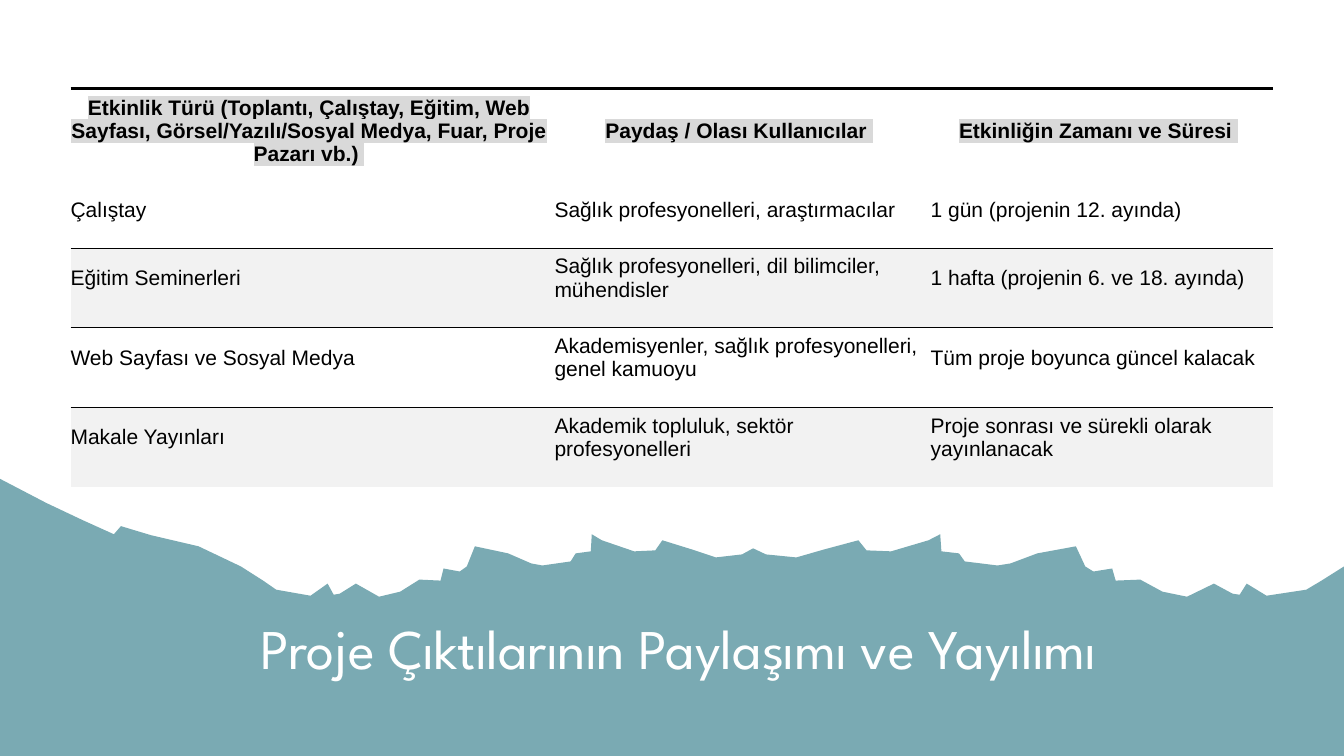
from dataclasses import dataclass

from lxml import etree
from pptx import Presentation
from pptx.dml.color import RGBColor
from pptx.enum.text import MSO_ANCHOR, MSO_AUTO_SIZE, PP_ALIGN
from pptx.oxml.ns import qn
from pptx.util import Inches, Pt

MIDDLE = MSO_ANCHOR.MIDDLE
NO_FIT = MSO_AUTO_SIZE.NONE
CENTER, LEFT = PP_ALIGN.CENTER, PP_ALIGN.LEFT

TEAL = RGBColor(0x7A, 0xAA, 0xB3)
WHITE = RGBColor(0xFF, 0xFF, 0xFF)
BLACK = RGBColor(0x00, 0x00, 0x00)
BAND = RGBColor(0xF2, 0xF2, 0xF2)
HIGHLIGHT = RGBColor(0xD9, 0xD9, 0xD9)

PAGE_WIDTH, PAGE_HEIGHT = 13.33, 7.5
TITLE_FONT, TABLE_FONT = "League Spartan", "Arial"
PLAIN_STYLE = "{2D5ABB26-0587-4C30-8999-92F81FD0307C}"
HARD_SPACE = " "
COLUMN_WIDTHS = (4.8, 3.73, 3.4)

# The ragged edge repeats itself, mirrored and stretched, right of its middle.
MIDDLE_X, RIGHT_STRETCH = 7.47, 1.16
LEFT_SLOPE = ((0, 4.75), (0.46, 4.99), (0.82, 5.16), (1.13, 5.3), (1.2, 5.22),
              (1.5, 5.31), (1.97, 5.42))
RAGGED_EDGE = (
    (2.39, 5.62), (2.61, 5.76), (2.74, 5.85), (3.08, 5.91), (3.25, 5.79), (3.31, 5.9),
    (3.37, 5.89), (3.53, 5.79), (3.76, 5.92), (3.97, 5.87), (4.16, 5.75), (4.37, 5.76),
    (4.4, 5.64), (4.56, 5.67), (4.63, 5.62), (4.71, 5.42), (5.04, 5.49), (5.27, 5.59),
    (5.38, 5.61), (5.66, 5.57), (5.71, 5.49), (5.86, 5.47), (5.87, 5.3), (5.97, 5.36),
    (6.29, 5.47), (6.5, 5.46), (6.57, 5.36), (6.86, 5.45), (7.1, 5.53), (7.36, 5.5),
    (MIDDLE_X, 5.44),
)


@dataclass(frozen=True)
class TableRow:
    height: float
    texts: tuple[str, str, str]
    header: bool = False
    shaded: bool = False
    top_line: float = 0


ROWS = (
    TableRow(1.03, (
        "Etkinlik Türü (Toplantı, Çalıştay, Eğitim, Web Sayfası, "
        "Görsel/Yazılı/Sosyal Medya, Fuar, Proje Pazarı vb.)",
        "Paydaş / Olası Kullanıcılar", "Etkinliğin Zamanı ve Süresi"),
        header=True, top_line=2.25),
    TableRow(0.55, ("Çalıştay", "Sağlık profesyonelleri, araştırmacılar",
                    "1 gün (projenin 12. ayında)")),
    TableRow(0.79, ("Eğitim Seminerleri",
                    "Sağlık profesyonelleri, dil bilimciler, mühendisler",
                    "1 hafta (projenin 6. ve 18. ayında)"), shaded=True, top_line=0.5),
    TableRow(0.79, ("Web Sayfası ve Sosyal Medya",
                    "Akademisyenler, sağlık profesyonelleri, genel kamuoyu",
                    "Tüm proje boyunca güncel kalacak")),
    TableRow(0.79, ("Makale Yayınları", "Akademik topluluk, sektör profesyonelleri",
                    "Proje sonrası ve sürekli olarak yayınlanacak"),
             shaded=True, top_line=0.5),
)


def wave_outline() -> list[tuple[int, int]]:
    """Join the slope, the ragged edge, its mirrored half and the page corners."""
    mirrored = [(min(MIDDLE_X + (MIDDLE_X - x) * RIGHT_STRETCH, PAGE_WIDTH), y)
                for x, y in reversed(RAGGED_EDGE[:-1])]
    corners = [(PAGE_WIDTH, PAGE_HEIGHT), (0, PAGE_HEIGHT)]
    return [(Inches(x), Inches(y))
            for x, y in [*LEFT_SLOPE, *RAGGED_EDGE, *mirrored, *corners]]


def add_wave(page) -> None:
    """Draw the torn-edge band behind the title."""
    start, *points = wave_outline()
    builder = page.shapes.build_freeform(*start)
    builder.add_line_segments(points)
    wave = builder.convert_to_shape()
    wave.shadow.inherit = False
    wave.fill.solid()
    wave.fill.fore_color.rgb = TEAL
    wave.line.fill.background()
    page.shapes._spTree.insert(2, wave._element)


def add_span(para, text: str, font: str, size: float, color: RGBColor, bold: bool = False):
    span = para.add_run()
    span.text = text
    span.font.name, span.font.size, span.font.bold = font, Pt(size), bold
    span.font.color.rgb = color
    return span


def add_color(parent, tag: str, color: RGBColor):
    element = etree.SubElement(parent, qn(tag))
    etree.SubElement(element, qn("a:srgbClr")).set("val", str(color))
    return element


def set_title(page) -> None:
    title = page.shapes.title
    title.left, title.top = Inches(0.98), Inches(5.98)
    title.width, title.height = Inches(11.5), Inches(0.97)
    frame = title.text_frame
    frame.word_wrap, frame.auto_size, frame.vertical_anchor = True, NO_FIT, MIDDLE
    para = frame.paragraphs[0]
    para.alignment, para.line_spacing = CENTER, 0.9
    add_span(para, "Proje Çıktılarının Paylaşımı ve Yayılımı", TITLE_FONT, 40, WHITE)


def fill_cell(cell, text: str, row: TableRow) -> None:
    cell.margin_left, cell.margin_top = Inches(0), Inches(0.03)
    cell.margin_right, cell.margin_bottom = Inches(0.07), Inches(0.22)
    cell.vertical_anchor = MIDDLE
    if row.shaded:
        cell.fill.solid()
        cell.fill.fore_color.rgb = BAND
    else:
        cell.fill.background()
    if row.top_line:
        properties = cell._tc.get_or_add_tcPr()
        border = etree.SubElement(properties, qn("a:lnT"))
        border.set("w", str(Pt(row.top_line)))
        add_color(border, "a:solidFill", BLACK)
        properties.insert(0, border)
    para = cell.text_frame.paragraphs[0]
    para.alignment = CENTER if row.header else LEFT
    span = add_span(para, text + HARD_SPACE, TABLE_FONT, 15, BLACK, row.header)
    if row.header:
        properties = span._r.get_or_add_rPr()
        mark = add_color(properties, "a:highlight", HIGHLIGHT)
        properties.find(qn("a:solidFill")).addnext(mark)


def add_activity_table(page) -> None:
    table = page.shapes.add_table(
        len(ROWS), len(COLUMN_WIDTHS), Inches(0.7), Inches(0.88),
        Inches(sum(COLUMN_WIDTHS)), Inches(sum(row.height for row in ROWS))).table
    table.first_row = table.horz_banding = False
    table._tbl.tblPr.find(qn("a:tableStyleId")).text = PLAIN_STYLE
    for column, width in zip(table.columns, COLUMN_WIDTHS):
        column.width = Inches(width)
    for table_row, row in zip(table.rows, ROWS):
        table_row.height = Inches(row.height)
        for cell, text in zip(table_row.cells, row.texts):
            fill_cell(cell, text, row)


def main() -> None:
    deck = Presentation()
    deck.slide_width, deck.slide_height = Inches(PAGE_WIDTH), Inches(PAGE_HEIGHT)
    page = deck.slides.add_slide(deck.slide_layouts[5])
    add_wave(page)
    set_title(page)
    add_activity_table(page)
    deck.save("out.pptx")


if __name__ == "__main__":
    main()
